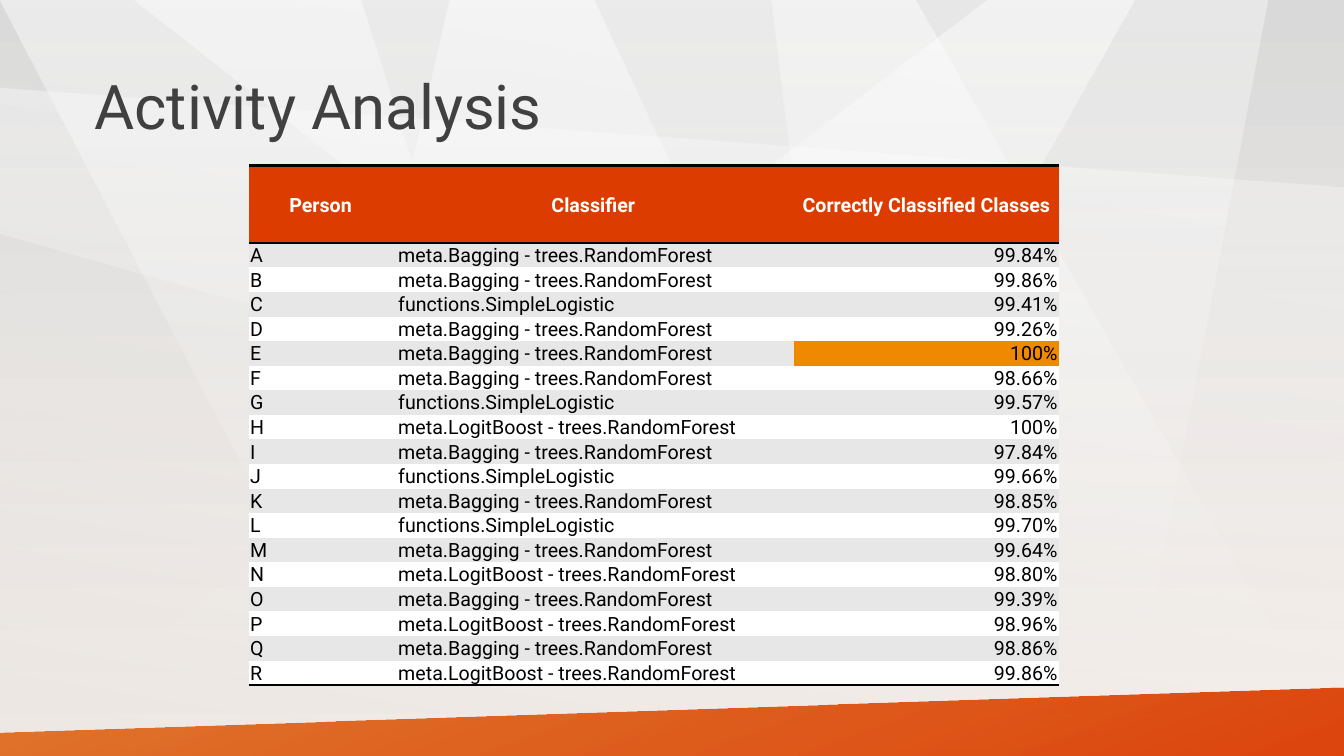
from lxml import etree
from pptx import Presentation
from pptx import util as u
from pptx.dml.color import RGBColor
from pptx.enum import shapes, text
from pptx.oxml.ns import qn

COLORS = {
    "title": "404040", "header": "DC3C00", "highlight": "EF8900",
    "band": "E7E7E7", "white": "FFFFFF", "black": "000000",
    "grey": "D9D9D9", "cream": "FCF5EF", "shade": "BFBFBF", "orange": "DD5900",
}
FONT = "Roboto"
TITLE = "Activity Analysis"
HEADERS = ["Person", "Classifier", "Correctly Classified Classes"]
BAGGING = "meta.Bagging - trees.RandomForest"
BOOST = "meta.LogitBoost - trees.RandomForest"
LOGISTIC = "functions.SimpleLogistic"
RESULTS = [
    ("A", BAGGING, "99.84%"), ("B", BAGGING, "99.86%"), ("C", LOGISTIC, "99.41%"),
    ("D", BAGGING, "99.26%"), ("E", BAGGING, "100%"), ("F", BAGGING, "98.66%"),
    ("G", LOGISTIC, "99.57%"), ("H", BOOST, "100%"), ("I", BAGGING, "97.84%"),
    ("J", LOGISTIC, "99.66%"), ("K", BAGGING, "98.85%"), ("L", LOGISTIC, "99.70%"),
    ("M", BAGGING, "99.64%"), ("N", BOOST, "98.80%"), ("O", BAGGING, "99.39%"),
    ("P", BOOST, "98.96%"), ("Q", BAGGING, "98.86%"), ("R", BOOST, "99.86%"),
]
HIGHLIGHTED = ("E", 2)  # person, column
COLUMN_WIDTHS = [1.42, 3.99, 2.62]
LEFT_MARGINS = [0.01, 0.06, 0.01]
HEADER_HEIGHT, ROW_HEIGHT = 0.77, 0.24
TABLE_LEFT, TABLE_TOP = 2.47, 1.64
WIDTH, HEIGHT = 13.33, 7.5
NO_STYLE = "{2D5ABB26-0587-4C30-8999-92F81FD0307C}"

# Light beams: opacity at the top, corner points
BEAMS = [
    (50, [(9.79, 0), (0, 7.5), (7.01, 7.5), (11.25, 0)]),
    (50, [(0, 0), (3.58, 0), (5.94, 7.5), (3.91, 7.5)]),
    (50, [(1.32, 0), (9.07, 0), (13.33, 7.5), (10.83, 7.5)]),
    (40, [(7.65, 0), (8.56, 7.5), (11.15, 7.5), (12.57, 0)]),
    (50, [(5.89, 0), (4.46, 0), (2.72, 7.5), (9.39, 7.5)]),
    (40, [(0, 0.87), (13.33, 1.86), (13.33, 6.1), (0, 2.32)]),
]
FOOTER = [(0, 7.27), (13.33, 6.82), (13.33, 7.5), (0, 7.5)]


def rgb(name):
    return RGBColor.from_string(COLORS[name])


def set_gradient(fill, owner, stops, angle):
    """Apply (colour, opacity) stops at a clockwise angle; owner is the XML parent."""
    fill.gradient()
    fill.gradient_angle = 360 - angle
    for stop, (color, _) in zip(fill.gradient_stops, stops):
        stop.color.rgb = rgb(color)
    for element, (_, opacity) in zip(owner.xpath(".//a:gs/a:srgbClr"), stops):
        etree.SubElement(element, qn("a:alpha")).set("val", str(opacity * 1000))


def finish_shape(shape, stops, angle):
    shape.shadow.inherit = False
    shape.line.fill.background()
    set_gradient(shape.fill, shape._element, stops, angle)


def add_polygon(slide, points, stops, angle):
    corners = [(u.Inches(x), u.Inches(y)) for x, y in points]
    builder = slide.shapes.build_freeform(*corners[0])
    builder.add_line_segments(corners[1:], close=True)
    finish_shape(builder.convert_to_shape(), stops, angle)


def write(frame, content, size, color, bold=False, **paragraph_format):
    paragraph = frame.paragraphs[0]
    for name, value in paragraph_format.items():
        setattr(paragraph, name, value)
    run = paragraph.add_run()
    run.text = content
    for name, value in {"name": FONT, "size": u.Pt(size), "bold": bold}.items():
        setattr(run.font, name, value)
    run.font.color.rgb = rgb(color)


def format_cell(cell, fill, anchor, margins, borders):
    names = ("margin_left", "margin_top", "margin_right", "margin_bottom")
    for name, margin in zip(names, margins):
        setattr(cell, name, u.Inches(margin))
    cell.vertical_anchor = anchor
    cell.fill.solid()
    cell.fill.fore_color.rgb = rgb(fill)
    properties = cell._tc.get_or_add_tcPr()
    for position, side in enumerate(borders):
        line = etree.Element(qn("a:" + side), w=str(u.Pt(2)))
        solid = etree.SubElement(line, qn("a:solidFill"))
        etree.SubElement(solid, qn("a:srgbClr"), val=COLORS["black"])
        properties.insert(position, line)


def add_background(slide):
    set_gradient(slide.background.fill, slide._element, [("grey", 50), ("cream", 50)], 90)
    for opacity, points in BEAMS:
        add_polygon(slide, points, [("white", opacity), ("white", 0)], 90)
    shade = slide.shapes.add_shape(
        shapes.MSO_SHAPE.RECTANGLE, 0, 0, u.Inches(WIDTH), u.Inches(HEIGHT))
    finish_shape(shade, [("shade", 25), ("white", 0)], 280)
    add_polygon(slide, FOOTER, [("orange", 80), ("header", 95)], 70)


def add_title(slide):
    box = slide.shapes.add_textbox(*map(u.Inches, (0.84, 0.33, 11.57, 1.52)))
    box.text_frame.word_wrap = True
    box.text_frame.vertical_anchor = text.MSO_ANCHOR.MIDDLE
    write(box.text_frame, TITLE, 44, "title", line_spacing=0.9)


def add_results(slide):
    height = HEADER_HEIGHT + ROW_HEIGHT * len(RESULTS)
    table = slide.shapes.add_table(
        len(RESULTS) + 1, len(HEADERS), u.Inches(TABLE_LEFT), u.Inches(TABLE_TOP),
        u.Inches(sum(COLUMN_WIDTHS)), u.Inches(height)).table
    table._tbl.tblPr.find(qn("a:tableStyleId")).text = NO_STYLE
    for column, width in zip(table.columns, COLUMN_WIDTHS):
        column.width = u.Inches(width)
    for index, row in enumerate(table.rows):
        row.height = u.Inches(ROW_HEIGHT if index else HEADER_HEIGHT)

    for column, label in enumerate(HEADERS):
        cell = table.cell(0, column)
        format_cell(cell, "header", text.MSO_ANCHOR.MIDDLE, (0.07, 0, 0.07, 0), ("lnT", "lnB"))
        write(cell.text_frame, label, 14, "white", True,
              alignment=text.PP_ALIGN.CENTER, line_spacing=1.15)

    for index, result in enumerate(RESULTS, 1):
        borders = ("lnB",) if index == len(RESULTS) else ()
        for column, value in enumerate(result):
            fill = "band" if index % 2 else "white"
            if (result[0], column) == HIGHLIGHTED:
                fill = "highlight"
            cell = table.cell(index, column)
            margins = (LEFT_MARGINS[column], 0.01, 0.01, 0)
            format_cell(cell, fill, text.MSO_ANCHOR.BOTTOM, margins, borders)
            side = text.PP_ALIGN.RIGHT if column == 2 else text.PP_ALIGN.LEFT
            write(cell.text_frame, value, 14, "black", alignment=side)


def main():
    presentation = Presentation()
    presentation.slide_width = u.Inches(WIDTH)
    presentation.slide_height = u.Inches(HEIGHT)
    slide = presentation.slides.add_slide(presentation.slide_layouts[6])
    add_background(slide)
    add_title(slide)
    add_results(slide)
    presentation.save("out.pptx")


if __name__ == "__main__":
    main()
